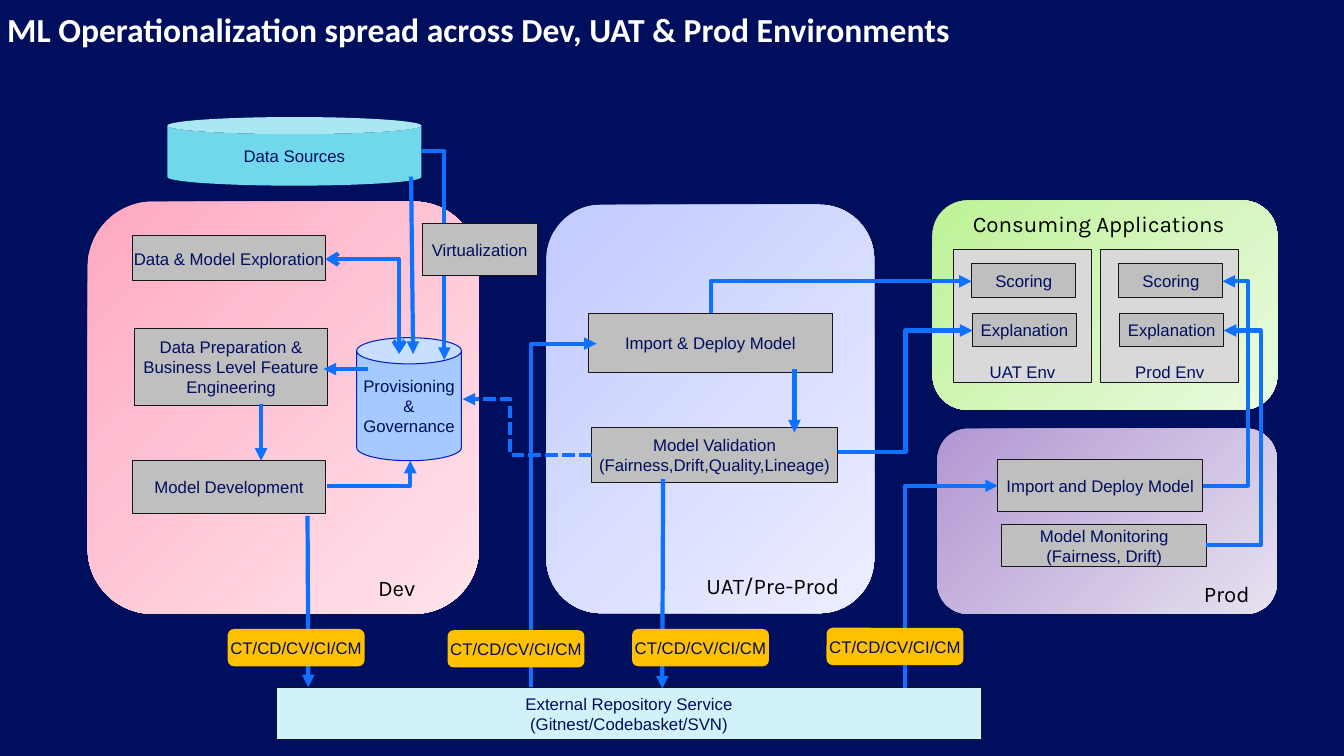
"""Build the slide on ML operationalization across Dev, UAT and Prod."""
from lxml import etree
from pptx import Presentation
from pptx.dml.color import RGBColor
from pptx.enum.dml import MSO_LINE
from pptx.enum.shapes import MSO_CONNECTOR, MSO_SHAPE
from pptx.enum.text import MSO_ANCHOR, PP_ALIGN
from pptx.oxml.ns import qn
from pptx.util import Cm, Pt

RECT, ROUND, CAN = MSO_SHAPE.RECTANGLE, MSO_SHAPE.ROUNDED_RECTANGLE, MSO_SHAPE.CAN
TOP, MIDDLE, BOTTOM = MSO_ANCHOR.TOP, MSO_ANCHOR.MIDDLE, MSO_ANCHOR.BOTTOM
LEFT, CENTER = PP_ALIGN.LEFT, PP_ALIGN.CENTER
ELBOW, DASH = MSO_CONNECTOR.ELBOW, MSO_LINE.SQUARE_DOT
NAVY, BLACK, WHITE = "000E5E", "000000", "FFFFFF"
GRAY, PALE, EDGE, BLUE, AMBER = "BFBFBF", "D9D9D9", "171717", "0F71FF", "FFC000"
SIDES = "left", "top", "right", "bottom"
LABEL = {"name": "Arial", "size": Pt(12), "bold": False}
CAPTION = {"name": "Karla", "size": Pt(16), "bold": False}
TITLE = {"name": "Calibri", "size": Pt(24), "bold": True}


def color(code):
    return RGBColor.from_string(code)


def write(shape, text, look, ink, anchor=MIDDLE, align=CENTER, inset=0, wrap=True):
    frame = shape.text_frame
    frame.text = text
    frame.word_wrap = wrap
    frame.vertical_anchor = anchor
    for side in SIDES:
        setattr(frame, f"margin_{side}", Cm(inset))
    for para in frame.paragraphs:
        para.alignment = align
        for key, value in look.items():
            setattr(para.font, key, value)
        para.font.color.rgb = color(ink)


deck = Presentation()
deck.slide_width, deck.slide_height = Cm(33.87), Cm(19.05)
slide = deck.slides.add_slide(deck.slide_layouts[5])
slide.background.fill.solid()
slide.background.fill.fore_color.rgb = color(NAVY)
shapes = slide.shapes

title = shapes.title
title.left, title.top, title.width, title.height = Cm(0), Cm(0.05), Cm(32.92), Cm(1.37)
write(title, "ML Operationalization spread across Dev, UAT & Prod Environments",
      TITLE, WHITE, TOP, LEFT, 0.18)

panels = [
    (2.21, 5.08, 9.86, 10.39, "FFA9C2", "FFE4EB"),
    (13.77, 5.16, 8.26, 10.29, "C3CAFF", "ECEEFF"),
    (23.5, 5.05, 8.69, 5.28, "BEF297", "EAFAE0"),
    (23.62, 10.8, 8.56, 4.67, "B197D2", "E7E1F0"),
]
for *place, start, end in panels:
    panel = shapes.add_shape(ROUND, *map(Cm, place))
    panel.shadow.inherit = False
    panel.line.fill.background()
    panel.fill.gradient()
    panel.fill.gradient_angle = 315
    for stop, shade in zip(panel.fill.gradient_stops, (start, end)):
        stop.color.rgb = color(shade)

captions = [
    (9.25, 14.35, 1.5, "Dev"),
    (17.42, 14.3, 4.11, "UAT/Pre-Prod"),
    (24.03, 5.16, 7.32, "Consuming Applications"),
    (30.05, 14.48, 1.73, "Prod"),
]
for x, y, width, text in captions:
    box = shapes.add_textbox(Cm(x), Cm(y), Cm(width), Cm(0.94))
    write(box, text, CAPTION, BLACK, TOP, inset=0.13, wrap=False)

nodes = [
    (RECT, 3.35, 5.94, 4.85, 1.14, "Data & Model Exploration", GRAY, EDGE),
    (RECT, 3.4, 8.28, 4.85, 1.93,
     "Data Preparation & Business Level Feature Engineering", GRAY, EDGE),
    (RECT, 3.35, 11.61, 4.85, 1.32, "Model Development", GRAY, EDGE),
    (RECT, 14.83, 7.9, 6.15, 1.5, "Import & Deploy Model", GRAY, EDGE),
    (RECT, 14.91, 10.77, 6.2, 1.4,
     "Model Validation\n(Fairness,Drift,Quality,Lineage)", GRAY, EDGE),
    (RECT, 25.15, 11.58, 5.16, 1.32, "Import and Deploy Model", GRAY, EDGE),
    (RECT, 25.25, 13.21, 5.16, 1.07, "Model Monitoring\n(Fairness, Drift)", GRAY, EDGE),
    (CAN, 4.22, 2.95, 6.4, 1.73, "Data Sources", "71D7EA", None),
    (CAN, 8.99, 8.51, 2.64, 3.1, "Provisioning & Governance", "A5CAFF", "001DC6"),
    (RECT, 6.98, 17.32, 17.75, 1.32,
     "External Repository Service\n(Gitnest/Codebasket/SVN)", "D0F2F8", EDGE),
]
for x, name in (24.03, "UAT Env"), (27.74, "Prod Env"):
    nodes += [
        (RECT, x, 6.3, 3.48, 3.33, name, PALE, EDGE),
        (RECT, x + 0.46, 6.65, 2.62, 0.84, "Scoring", GRAY, EDGE),
        (RECT, x + 0.48, 7.9, 2.62, 0.84, "Explanation", GRAY, EDGE),
    ]

links = [
    ("line", 6.58, 10.19, 6.58, 11.61),
    ("line", 20.02, 9.3, 20.02, 10.9),
    ("line", 7.75, 13, 7.77, 17.32),
    ("line", 16.71, 12.07, 16.69, 17.35),
    ("line", 9.27, 9.3, 8.15, 9.3),
    ("line", 10.36, 4.45, 10.41, 8.92),
    ("bentConnector2", 8.23, 12.24, 10.34, 11.61),
    ("bentConnector2", 10.62, 3.81, 11.2, 9.07),
    ("bentConnector2", 8.2, 6.53, 10.06, 8.92, {"headEnd": "arrow", "tailEnd": "arrow"}),
    ("bentConnector2", 24.49, 7.09, 17.91, 7.9, {"headEnd": "triangle"}),
    ("bentConnector2", 15.04, 8.66, 13.39, 17.32, {"headEnd": "triangle"}),
    ("bentConnector2", 25.15, 12.24, 22.81, 17.35, {"headEnd": "triangle"}),
    ("bentConnector3", 30.33, 12.24, 30.81, 7.09, 2.33),
    ("bentConnector3", 30.4, 13.74, 30.84, 8.33, 3.12),
    ("bentConnector3", 21.13, 11.4, 24.51, 8.33, 0.5),
    ("bentConnector3", 14.91, 11.46, 11.66, 10.06, 0.63, DASH),
]

badges = [(ROUND, x, y, 3.45, 0.94, "CT/CD/CV/CI/CM", AMBER, None)
          for x, y in ((5.74, 15.85), (11.28, 15.88), (15.93, 15.85), (20.83, 15.82))]
badges.append((RECT, 10.64, 5.64, 2.9, 1.3, "Virtualization", GRAY, EDGE))

for kind, *item in nodes + [("links",)] + badges:
    if kind != "links":
        *place, text, fill, edge = item
        node = shapes.add_shape(kind, *map(Cm, place))
        node.shadow.inherit = False
        node.fill.solid()
        node.fill.fore_color.rgb = color(fill)
        if edge:
            node.line.color.rgb = color(edge)
            node.line.width = Pt(0.75)
        else:
            node.line.fill.background()
        write(node, text, LABEL, NAVY, BOTTOM if text.endswith("Env") else MIDDLE)
        continue
    for bend, x1, y1, x2, y2, *extra in links:
        link = shapes.add_connector(ELBOW, Cm(x1), Cm(y1), Cm(x2), Cm(y2))
        link.line.color.rgb = color(BLUE)
        link.line.width = Pt(3)
        if DASH in extra:
            link.line.dash_style = DASH
        props = link._element.spPr
        geom = props.find(qn("a:prstGeom"))
        geom.set("prst", bend)
        if bend == "bentConnector3":
            etree.SubElement(geom.find(qn("a:avLst")), qn("a:gd"),
                             name="adj1", fmla=f"val {round(extra[0] * 100000)}")
        ends = extra[0] if bend == "bentConnector2" and extra else {"tailEnd": "triangle"}
        for end, head in ends.items():
            etree.SubElement(props.find(qn("a:ln")), qn(f"a:{end}"), type=head)
        etree.SubElement(props, qn("a:effectLst"))

deck.save("out.pptx")
